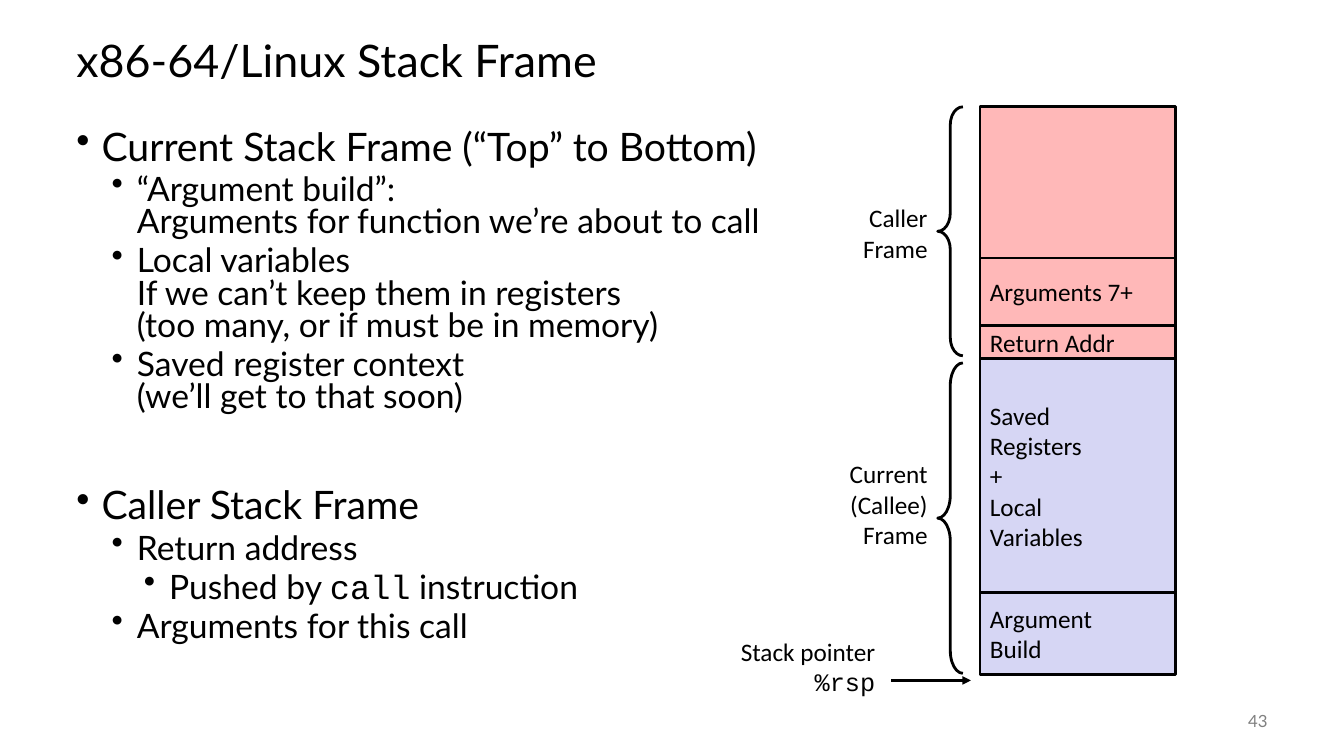
import pptx
import pptx.util
import pptx.dml.color
import pptx.enum.shapes
import pptx.enum.text
import pptx.oxml
import lxml.etree

PX = 9144  # EMU per px, 100 px to the inch
BLACK, GREY = "000000", "808080"
CALLER_FILL, CALLEE_FILL = "FFB8B8", "D6D6F4"
STACK_LEFT, STACK_TOP, STACK_WIDTH = 972, 106, 194
LABEL_RIGHT = 924

FRAME_PARTS = [  # height, fill, lines
    (150, CALLER_FILL, []),
    (67, CALLER_FILL, ["Arguments 7+"]),
    (33, CALLER_FILL, ["Return Addr"]),
    (232, CALLEE_FILL, ["Saved", "Registers", "+", "Local", "Variables"]),
    (81, CALLEE_FILL, ["Argument", "Build"]),
]

LEVELS = [(25, 28, 14), (60, 24, 5), (92, 24, 5)]  # indent, size, space before
SECTION_GAP = 53
OUTLINE = [  # level, runs
    (0, ["Current Stack Frame (“Top” to Bottom)"]),
    (1, ["“Argument build”:\vArguments for function we’re about to call"]),
    (1, ["Local variables\vIf we can’t keep them in registers\v"
         "(too many, or if must be in memory)"]),
    (1, ["Saved register context\v(we’ll get to that soon)"]),
    (0, ["Caller Stack Frame"]),
    (1, ["Return address"]),
    (2, ["Pushed by ", "call", " instruction"]),
    (1, ["Arguments for this call"]),
]

ALIGN = pptx.enum.text.PP_ALIGN
ANCHOR = pptx.enum.text.MSO_ANCHOR
SHAPE = pptx.enum.shapes.MSO_SHAPE


def px(*lengths):
    return [pptx.util.Emu(length * PX) for length in lengths]


def color(value):
    return pptx.dml.color.RGBColor.from_string(value)


def set_font(font, size, name, ink=BLACK):
    font.size = pptx.util.Pt(size)
    font.name = name
    font.color.rgb = color(ink)


def set_line(line):
    line.color.rgb = color(BLACK)
    line.width = pptx.util.Pt(2)


def set_frame(frame, side, edge, anchor):
    frame.word_wrap = True
    frame.vertical_anchor = anchor
    frame.margin_left, frame.margin_right = px(side, side)
    frame.margin_top, frame.margin_bottom = px(edge, edge)


def write_lines(frame, lines, size, name, align=ALIGN.LEFT, ink=BLACK):
    for index, text in enumerate(lines):
        paragraph = frame.paragraphs[0] if index == 0 else frame.add_paragraph()
        paragraph.text = text
        paragraph.alignment = align
        set_font(paragraph.font, size, name, ink)


def add_text(slide, box, lines, size, name, side=10, edge=5,
             anchor=ANCHOR.MIDDLE, align=ALIGN.LEFT, ink=BLACK):
    frame = slide.shapes.add_textbox(*px(*box)).text_frame
    set_frame(frame, side, edge, anchor)
    write_lines(frame, lines, size, name, align, ink)
    return frame


def add_label(slide, box, lines):
    return add_text(slide, box, lines, 18, "Calibri", 4, 4, ANCHOR.TOP, ALIGN.RIGHT)


def set_bullet(paragraph, indent):
    properties = paragraph._p.get_or_add_pPr()
    properties.set("marL", str(indent * PX))
    properties.set("indent", str(-25 * PX))
    bullet = lxml.etree.SubElement(properties, pptx.oxml.ns.qn("a:buChar"))
    bullet.set("char", "•")


def add_outline(slide):
    frame = slide.shapes.add_textbox(*px(66, 125, 790, 550)).text_frame
    set_frame(frame, 10, 5, ANCHOR.TOP)
    for index, (level, runs) in enumerate(OUTLINE):
        indent, size, space = LEVELS[level]
        paragraph = frame.paragraphs[0] if index == 0 else frame.add_paragraph()
        paragraph.level = level
        paragraph.line_spacing = 0.8
        if index:
            paragraph.space_before = pptx.util.Pt(space if level else SECTION_GAP)
        set_bullet(paragraph, indent)
        set_font(paragraph.font, size, "Lato")
        if len(runs) == 1:
            paragraph.text = runs[0]
            continue
        for text in runs:
            run = paragraph.add_run()
            run.text = text
            if text == "call":
                run.font.name = "Courier New"


def add_stack(slide):
    top = STACK_TOP
    for height, fill, lines in FRAME_PARTS:
        part = slide.shapes.add_shape(
            SHAPE.RECTANGLE, *px(STACK_LEFT, top, STACK_WIDTH, height))
        part.shadow.inherit = False
        part.fill.solid()
        part.fill.fore_color.rgb = color(fill)
        set_line(part.line)
        set_frame(part.text_frame, 10, 0, ANCHOR.MIDDLE)
        write_lines(part.text_frame, lines, 18, "Calibri")
        top += height


def add_brace(slide, top, height):
    width = 25
    brace = slide.shapes.add_shape(SHAPE.LEFT_BRACE, *px(930, top, width, height))
    brace.adjustments[0] = round(0.073 * height / width, 2)
    brace.shadow.inherit = False
    brace.fill.background()
    set_line(brace.line)


def add_arrow(slide, left, right, y):
    arrow = slide.shapes.add_connector(
        pptx.enum.shapes.MSO_CONNECTOR.STRAIGHT, *px(left, y, right, y))
    set_line(arrow.line)
    qn = pptx.oxml.ns.qn
    head = lxml.etree.SubElement(arrow.line._get_or_add_ln(), qn("a:tailEnd"))
    head.set("type", "triangle")
    lxml.etree.SubElement(arrow._element.spPr, qn("a:effectLst"))


def main():
    deck = pptx.Presentation()
    deck.slide_width, deck.slide_height = px(1333, 750)
    slide = deck.slides.add_slide(deck.slide_layouts[6])

    title = add_text(slide, (66, 25, 1200, 75), ["x86-64/Linux Stack Frame"], 32, "Lato")
    title.paragraphs[0].line_spacing = 0.9
    add_outline(slide)
    add_stack(slide)

    add_brace(slide, STACK_TOP, 247)
    add_brace(slide, 360, 308)
    add_label(slide, (LABEL_RIGHT - 114, 197, 114, 69), ["Caller", "Frame"])
    add_label(slide, (LABEL_RIGHT - 114, 451, 114, 99), ["Current", "(Callee)", "Frame"])

    pointer = add_label(slide, (710, 627, 162, 67), ["Stack pointer", "%rsp"])
    pointer.paragraphs[1].font.name = "Courier New"
    add_arrow(slide, 884, 963, 675)

    add_text(slide, (1167, 695, 100, 40), ["43"], 12, "Lato", align=ALIGN.RIGHT, ink=GREY)
    deck.save("out.pptx")


if __name__ == "__main__":
    main()
